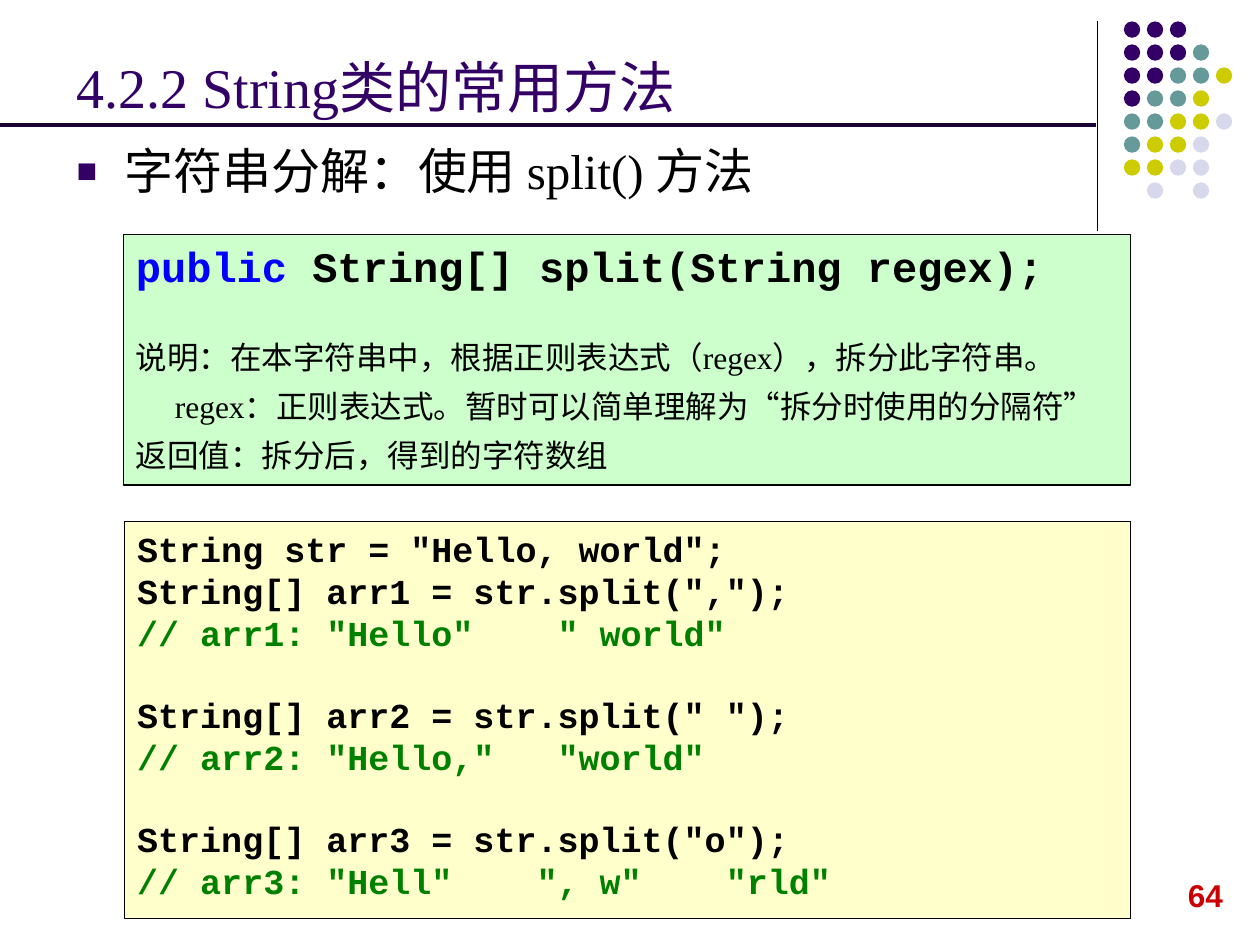
"""Build the slide on the split() method of the String class."""
from dataclasses import dataclass

from lxml import etree
from pptx import Presentation
from pptx.dml.color import RGBColor
from pptx.enum.shapes import MSO_CONNECTOR, MSO_SHAPE
from pptx.enum.text import MSO_ANCHOR, PP_ALIGN
from pptx.oxml.ns import qn
from pptx.util import Inches, Pt

STRAIGHT = MSO_CONNECTOR.STRAIGHT
OVAL, RECTANGLE = MSO_SHAPE.OVAL, MSO_SHAPE.RECTANGLE
TOP, BOTTOM = MSO_ANCHOR.TOP, MSO_ANCHOR.BOTTOM
LEFT = PP_ALIGN.LEFT

WIDTH, HEIGHT = Inches(10), Inches(7.5)
SERIF, MONO, SANS = "Times New Roman", "Courier New", "Arial"
COLORS = {
    "purple": "330066", "teal": "669999", "olive": "CCCC00", "lilac": "D8D8EC",
    "black": "000000", "rule": "190033", "red": "CC0000", "blue": "0000FF",
    "comment": "008000", "mint": "CCFFCC", "cream": "FFFFCC",
}
DOT_COLORS = {"P": "purple", "T": "teal", "Y": "olive", "L": "lilac"}
DOT_ROWS = ("PPP", "PPPT", "PPTTY", "PTTY", "TTYYL", "TYYL", "YYLL", " L L")
DOT_LEFT, DOT_TOP = 8.92, 0.17
BLANK_CODE_LINE = 22.66


@dataclass(frozen=True)
class Area:
    """Position and size as percentages of the slide."""
    left: float
    top: float
    width: float
    height: float

    def emu(self) -> tuple[int, int, int, int]:
        """Return the lengths in slide units."""
        return (x_share(self.left), y_share(self.top),
                x_share(self.width), y_share(self.height))


@dataclass(frozen=True)
class Words:
    """A stretch of text in one style."""
    text: str
    size: float
    font: str = SERIF
    color: str = "black"
    bold: bool = False


@dataclass(frozen=True)
class Line:
    """A paragraph with its spacing, indent and bullet."""
    words: tuple[Words, ...]
    before: float = 0
    spacing: float = 1.0
    margin: float = 0
    bullet: str = ""


@dataclass(frozen=True)
class Panel:
    """A text area, filled and outlined when a fill is named."""
    area: Area
    lines: tuple[Line, ...]
    fill: str = ""
    anchor: MSO_ANCHOR = TOP
    wrap: bool = True


@dataclass(frozen=True)
class Rule:
    """A straight line between two points in slide percentages."""
    start: tuple[float, float]
    end: tuple[float, float]
    color: str
    weight: float


def x_share(percent: float) -> int:
    """Return a share of the slide's width."""
    return round(WIDTH * percent / 100)


def y_share(percent: float) -> int:
    """Return a share of the slide's height."""
    return round(HEIGHT * percent / 100)


def rgb(name: str) -> RGBColor:
    """Look up a named colour."""
    return RGBColor.from_string(COLORS[name])


def draw_dots(slide) -> None:
    """Draw the corner grid of dots."""
    size, pitch = Inches(0.13), Inches(0.73) / 4
    for row, codes in enumerate(DOT_ROWS):
        for column, code in enumerate(codes):
            if code not in DOT_COLORS:
                continue
            dot = slide.shapes.add_shape(
                OVAL, round(Inches(DOT_LEFT) + column * pitch),
                round(Inches(DOT_TOP) + row * pitch), size, size)
            dot.shadow.inherit = False
            dot.fill.solid()
            dot.fill.fore_color.rgb = rgb(DOT_COLORS[code])
            dot.line.fill.background()


def draw_rule(slide, rule: Rule) -> None:
    """Draw a straight line without shadow."""
    (x1, y1), (x2, y2) = rule.start, rule.end
    line = slide.shapes.add_connector(
        STRAIGHT, x_share(x1), y_share(y1), x_share(x2), y_share(y2))
    line.line.color.rgb = rgb(rule.color)
    line.line.width = Pt(rule.weight)
    etree.SubElement(line._element.spPr, qn("a:effectLst"))


def add_bullet(properties, symbol: str) -> None:
    """Hang a small purple bullet before a paragraph."""
    color = etree.SubElement(properties, qn("a:buClr"))
    etree.SubElement(color, qn("a:srgbClr"), val=COLORS["purple"])
    etree.SubElement(properties, qn("a:buSzPct"), val="70000")
    etree.SubElement(properties, qn("a:buFont"), typeface=SANS)
    etree.SubElement(properties, qn("a:buChar"), char=symbol)


def write_line(paragraph, line: Line) -> None:
    """Fill a paragraph run by run."""
    paragraph.alignment = LEFT
    properties = paragraph._p.get_or_add_pPr()
    if line.margin:
        properties.set("marL", str(Inches(line.margin)))
    if line.bullet:
        properties.set("indent", str(-Inches(line.margin)))
        add_bullet(properties, line.bullet)
    if line.before:
        paragraph.space_before = Pt(line.before)
    paragraph.line_spacing = line.spacing
    for words in line.words:
        run = paragraph.add_run()
        run.text = words.text
        run.font.name = words.font
        run.font.size = Pt(words.size)
        run.font.bold = words.bold
        run.font.color.rgb = rgb(words.color)


def draw_panel(slide, panel: Panel) -> None:
    """Draw a text area with its paragraphs."""
    if panel.fill:
        shape = slide.shapes.add_shape(RECTANGLE, *panel.area.emu())
        shape.shadow.inherit = False
        shape.fill.solid()
        shape.fill.fore_color.rgb = rgb(panel.fill)
        shape.line.color.rgb = rgb("black")
        shape.line.width = Pt(0.75)
    else:
        shape = slide.shapes.add_textbox(*panel.area.emu())
    frame = shape.text_frame
    frame.word_wrap = panel.wrap
    frame.vertical_anchor = panel.anchor
    for index, line in enumerate(panel.lines):
        paragraph = frame.add_paragraph() if index else frame.paragraphs[0]
        write_line(paragraph, line)


def code(text: str, before: float = 0) -> Line:
    """Describe a code line, green when it is a comment."""
    color = "comment" if text.startswith("//") else "black"
    return Line((Words(text, 20, MONO, color, True),), before)


def note(text: str, before: float = 0, margin: float = 0) -> Line:
    """Describe a line of explanation."""
    return Line((Words(text, 18),), before, 1.3, margin)


RULES = (
    Rule((87.1, 2.27), (87.1, 24.4), "black", 0.75),
    Rule((0, 13.2), (87, 13.2), "rule", 2.25),
)
PANELS = (
    Panel(Area(93.3, 92, 5.1, 5.33),
          (Line((Words("64", 18, SANS, "red", True),)),), wrap=False),
    Panel(Area(5.1, 2.8, 82.5, 10.53),
          (Line((Words("4.2.2 String类的常用方法", 32, color="purple"),)),),
          anchor=BOTTOM),
    Panel(Area(5.1, 14.27, 90, 75.6),
          (Line((Words("字符串分解：使用 split() 方法", 28),), margin=0.38, bullet="■"),)),
    Panel(Area(9.9, 55.2, 79.8, 42), (
        code('String str = "Hello, world";'),
        code('String[] arr1 = str.split(",");'),
        code('// arr1: "Hello"    " world"'),
        code('String[] arr2 = str.split(" ");', BLANK_CODE_LINE),
        code('// arr2: "Hello,"   "world"'),
        code('String[] arr3 = str.split("o");', BLANK_CODE_LINE),
        code('// arr3: "Hell"    ", w"    "rld"'),
    ), "cream", wrap=False),
    Panel(Area(9.8, 24.8, 79.9, 26.53), (
        Line((Words("public", 24, MONO, "blue", True),
              Words(" String[] split(String regex);", 24, MONO, bold=True))),
        note("说明：在本字符串中，根据正则表达式（regex），拆分此字符串。", before=20.5),
        note("regex：正则表达式。暂时可以简单理解为“拆分时使用的分隔符”", margin=0.31),
        note("返回值：拆分后，得到的字符数组"),
    ), "mint"),
)


def main() -> None:
    """Assemble and save the slide."""
    deck = Presentation()
    deck.slide_width, deck.slide_height = WIDTH, HEIGHT
    slide = deck.slides.add_slide(deck.slide_layouts[6])
    draw_dots(slide)
    for rule in RULES:
        draw_rule(slide, rule)
    for panel in PANELS:
        draw_panel(slide, panel)
    deck.save("out.pptx")


if __name__ == "__main__":
    main()
